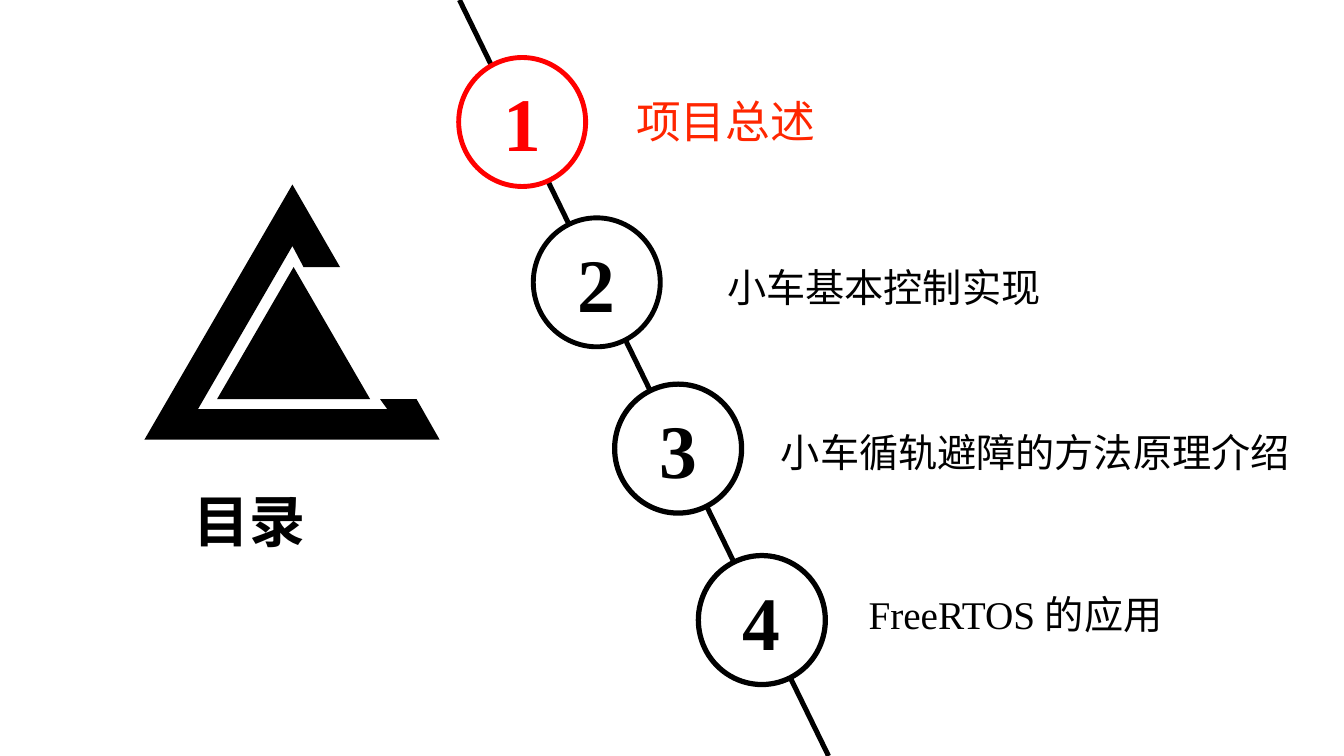
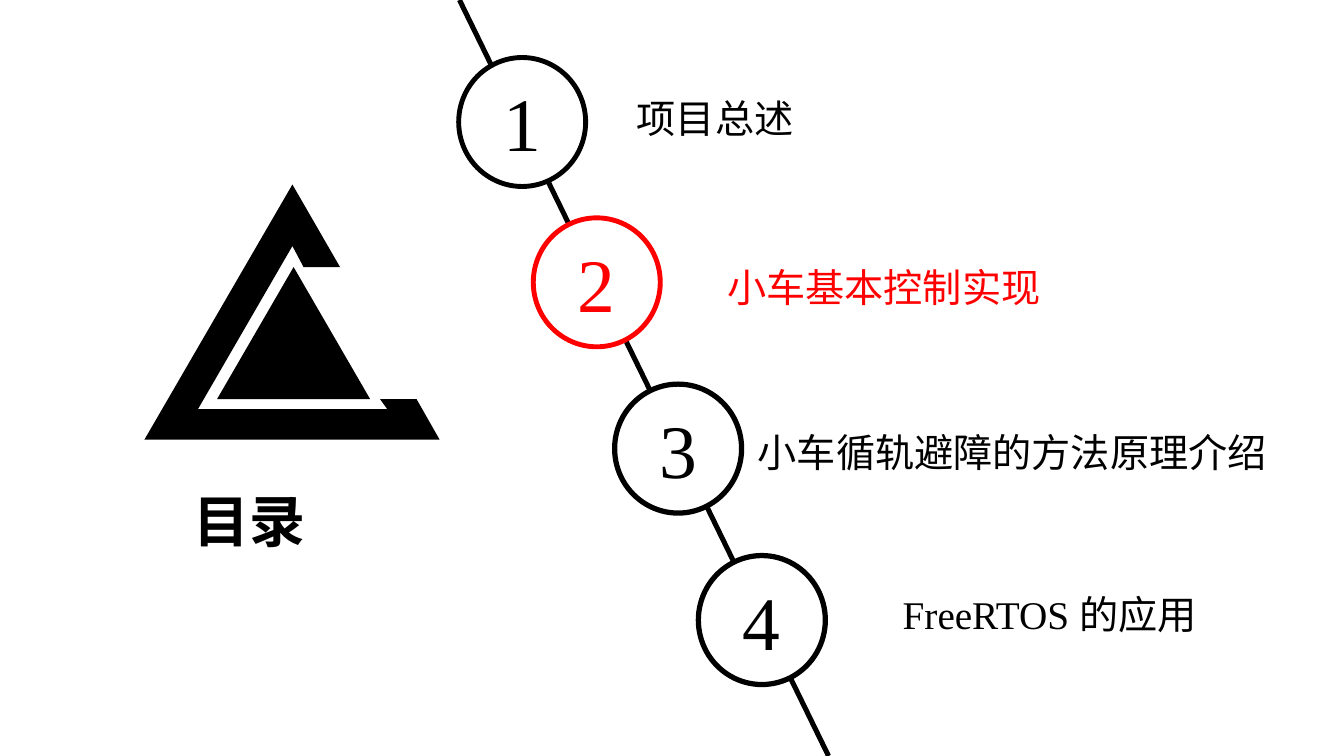
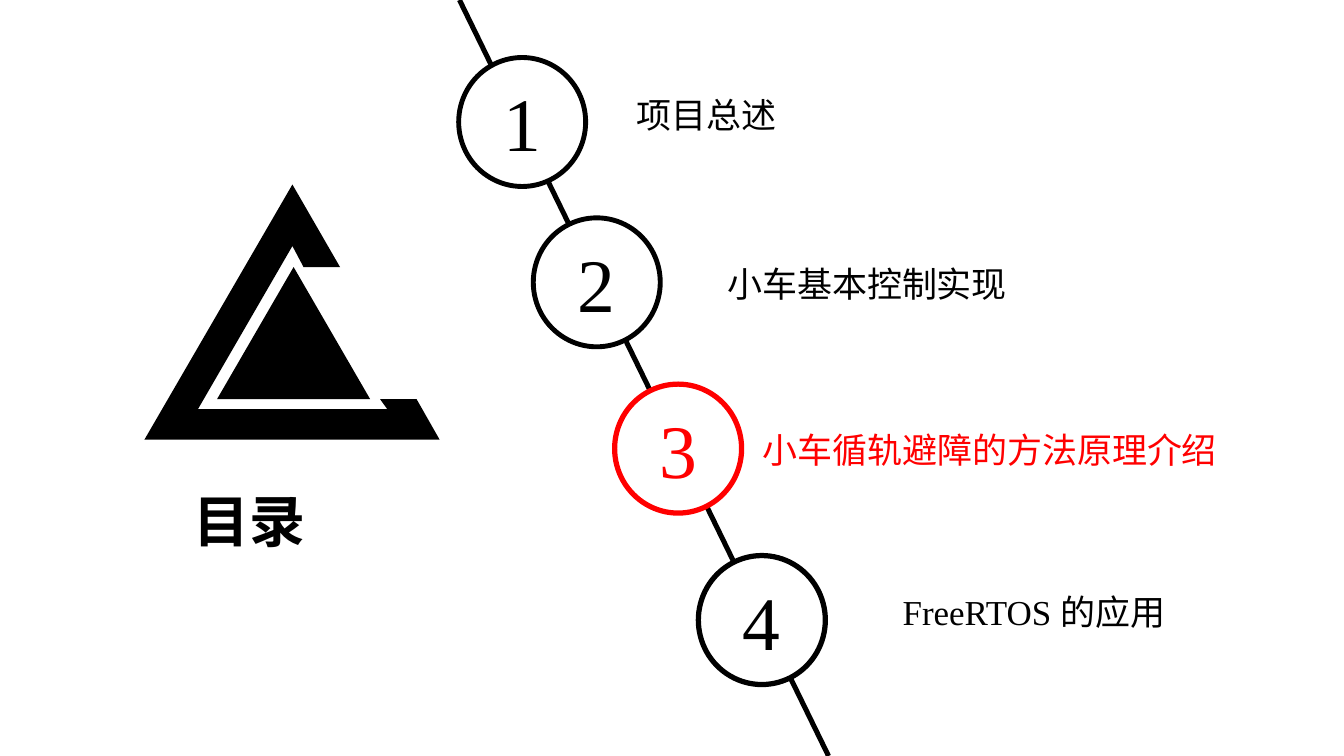
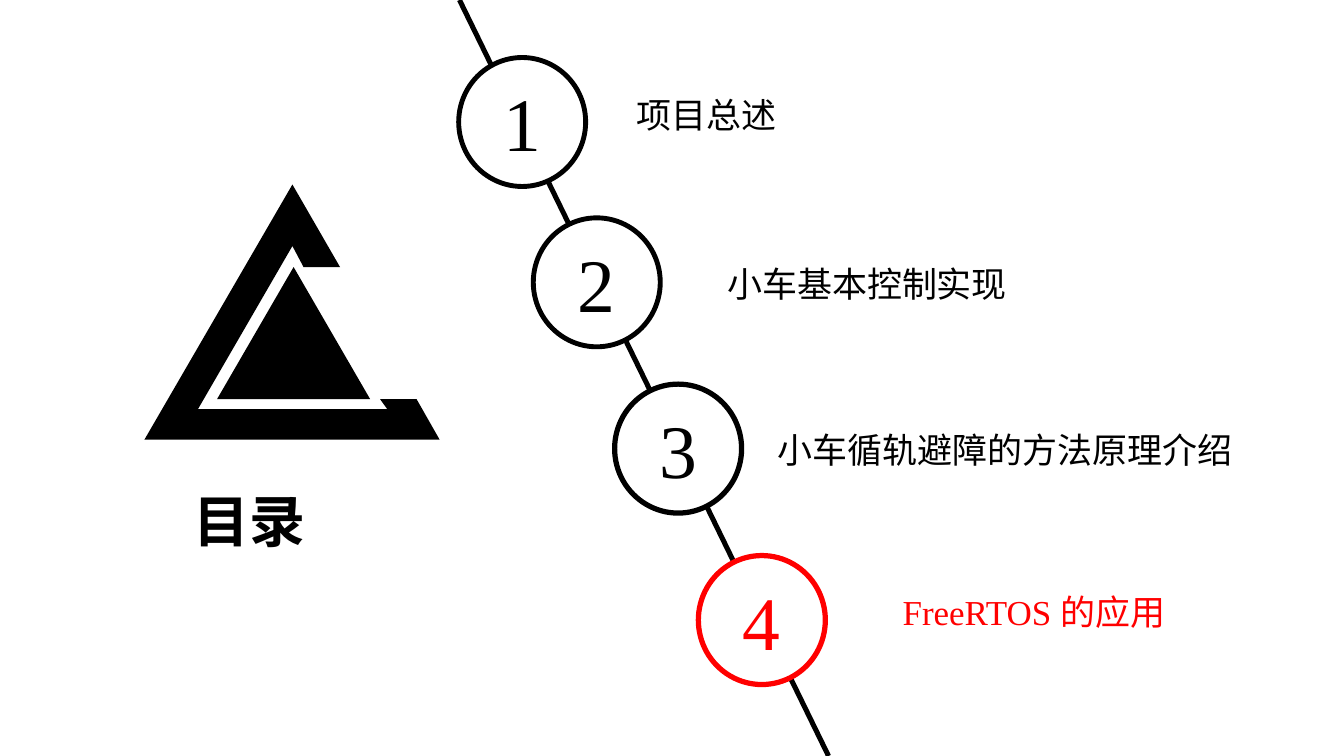
"""Build four agenda slides, each highlighting one chapter."""
from collections import namedtuple

from lxml.etree import SubElement
from pptx import Presentation
from pptx.dml.color import RGBColor
from pptx.enum.shapes import MSO_CONNECTOR, MSO_SHAPE
from pptx.enum.text import MSO_ANCHOR, MSO_AUTO_SIZE, PP_ALIGN
from pptx.oxml.ns import qn
from pptx.util import Cm, Pt

COLORS = {"ink": "000000", "paper": "FFFFFF", "accent": "FF0000", "first": "FF2600"}
SERIF = "Times New Roman"
SANS = "Noto Sans CJK SC"
PAGE_WIDTH, PAGE_HEIGHT = 33.87, 19.05
CIRCLE_WIDTH, CIRCLE_HEIGHT = 3.2, 3.25
LABEL_HEIGHT = 1.45

Chapter = namedtuple("Chapter", "text circle_left circle_top line label_top label_width")
Agenda = namedtuple("Agenda", "active label_lefts size bold")

CHAPTERS = [
    Chapter("项目总述", 11.56, 1.45, 3.5, 2.24, 9.7),
    Chapter("小车基本控制实现", 13.44, 5.49, 3.5, 6.5, 8.43),
    Chapter("小车循轨避障的方法原理介绍", 15.49, 9.68, 3.75, 10.68, 14),
    Chapter("FreeRTOS 的应用", 17.6, 14, 3.75, 14.75, 8.74),
]
AGENDAS = [
    Agenda(0, (15.78, 18.08, 19.43, 21.64), 28, True),
    Agenda(1, (15.8, 18.08, 18.85, 22.5), 28, False),
    Agenda(2, (15.8, 18.08, 18.97, 22.5), 25, False),
    Agenda(3, (15.8, 18.08, 19.35, 22.5), 25, False),
]
EMBLEM = [
    [(3.76, 2.08), (5.69, 5.41), (1.83, 5.41)],
    [(3.73, 0), (4.93, 2.08), (4.01, 2.08), (3.73, 1.55), (1.35, 5.66),
     (6.12, 5.66), (5.94, 5.41), (6.86, 5.41), (7.44, 6.43), (0, 6.43)],
]


def rgb(name):
    """Return the named palette colour."""
    return RGBColor.from_string(COLORS[name])


def write(frame, text, size, color, font=SERIF, bold=False, align=None):
    """Put one formatted paragraph into a text frame."""
    para = frame.paragraphs[0]
    para.text = text
    para.alignment = align
    para.font.size = Pt(size)
    para.font.bold = bold
    para.font.color.rgb = rgb(color)
    para.font.name = font
    properties = para.font._element if hasattr(para.font, "_element") else para.font._rPr
    SubElement(properties, qn("a:ea")).set("typeface", SANS)


def add_title(page, left, top, width, height):
    """Place the agenda heading in the title placeholder."""
    title = page.shapes.title
    title.left, title.top, title.width, title.height = map(Cm, (left, top, width, height))
    title.text_frame.vertical_anchor = MSO_ANCHOR.MIDDLE
    write(title.text_frame, "目录", 40, "ink", SANS, True, PP_ALIGN.JUSTIFY)


def add_emblem(page, left, top):
    """Draw the open triangle around the solid one."""
    outlines = [[(Cm(x), Cm(y)) for x, y in outline] for outline in EMBLEM]
    builder = page.shapes.build_freeform(*outlines[0][0])
    builder.add_line_segments(outlines[0][1:], close=True)
    for outline in outlines[1:]:
        builder.move_to(*outline[0])
        builder.add_line_segments(outline[1:], close=True)
    emblem = builder.convert_to_shape(Cm(left), Cm(top))
    emblem.shadow.inherit = False
    emblem.fill.solid()
    emblem.fill.fore_color.rgb = rgb("ink")
    emblem.line.fill.background()


def add_thread(page, start, end):
    """Draw the slanted line that runs from the top edge to the bottom edge."""
    thread = page.shapes.add_connector(
        MSO_CONNECTOR.STRAIGHT, Cm(start), 0, Cm(end), Cm(PAGE_HEIGHT))
    thread.line.color.rgb = rgb("ink")
    thread.line.width = Pt(3.6)
    SubElement(thread._element.spPr, qn("a:effectLst"))


def add_circle(page, chapter, number, color, bold):
    """Draw a numbered chapter circle."""
    circle = page.shapes.add_shape(
        MSO_SHAPE.OVAL, Cm(chapter.circle_left), Cm(chapter.circle_top),
        Cm(CIRCLE_WIDTH), Cm(CIRCLE_HEIGHT))
    circle.shadow.inherit = False
    circle.fill.solid()
    circle.fill.fore_color.rgb = rgb("paper")
    circle.line.color.rgb = rgb(color)
    circle.line.width = Pt(chapter.line)
    frame = circle.text_frame
    frame.margin_left = frame.margin_right = frame.margin_top = frame.margin_bottom = 0
    frame.vertical_anchor = MSO_ANCHOR.TOP
    write(frame, str(number), 54, color, bold=bold, align=PP_ALIGN.CENTER)


def add_label(page, chapter, left, size, color, font):
    """Write the chapter name beside its circle."""
    box = page.shapes.add_textbox(
        Cm(left), Cm(chapter.label_top), Cm(chapter.label_width), Cm(LABEL_HEIGHT))
    box.text_frame.word_wrap = True
    box.text_frame.auto_size = MSO_AUTO_SIZE.SHAPE_TO_FIT_TEXT
    write(box.text_frame, chapter.text, size, color, font)


def add_agenda(deck, agenda):
    """Add one agenda slide with its active chapter in red."""
    page = deck.slides.add_slide(deck.slide_layouts[5])
    add_thread(page, 11.58, 20.88)
    add_title(page, 4.62, 11.46, 5.49, 3.28)
    add_emblem(page, 3.64, 4.65)
    for index, (chapter, left) in enumerate(zip(CHAPTERS, agenda.label_lefts)):
        active = index == agenda.active
        color = "accent" if active else "ink"
        add_circle(page, chapter, index + 1, color, agenda.bold)
        if active and index == 0:
            add_label(page, chapter, left, 32, "first", SANS)
        else:
            add_label(page, chapter, left, agenda.size, color, SERIF)


def main():
    """Build and save the deck."""
    deck = Presentation()
    deck.slide_width, deck.slide_height = Cm(PAGE_WIDTH), Cm(PAGE_HEIGHT)
    for agenda in AGENDAS:
        add_agenda(deck, agenda)
    deck.save("out.pptx")


if __name__ == "__main__":
    main()
